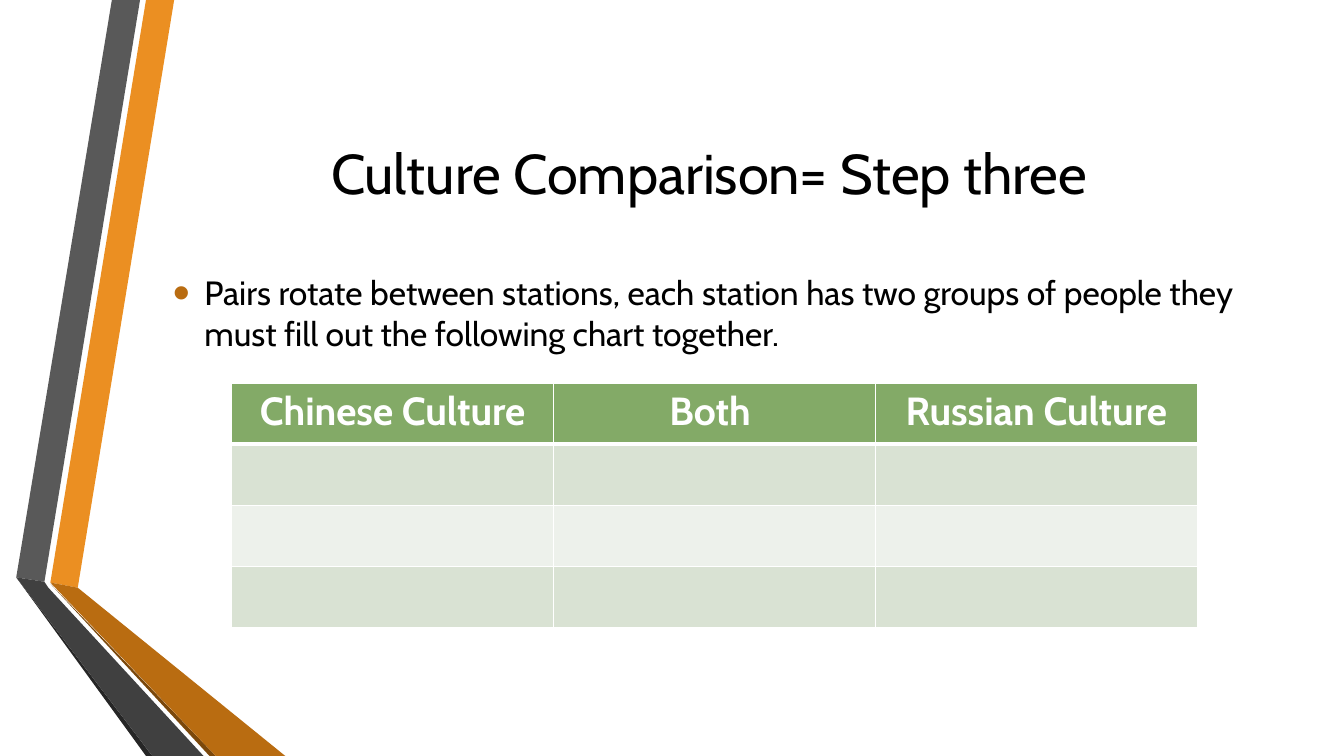
from dataclasses import dataclass

import pptx
import pptx.dml.color
import pptx.enum.text
import pptx.oxml
import pptx.oxml.ns
import pptx.util
from pptx.util import Cm

FONT = "Cabin"
COLOURS = {
    "orange": "EB8F22",
    "brown": "B96C11",
    "dark brown": "7B480B",
    "grey": "595959",
    "charcoal": "404040",
    "near black": "262626",
    "header": "83AA67",
    "band dark": "D9E2D3",
    "band light": "EDF1EB",
    "white": "FFFFFF",
    "black": "000000",
}


@dataclass
class Ribbon:
    colour: str
    points: list[tuple[float, float]]  # centimetres


@dataclass
class TextBlock:
    text: str
    left: float
    top: float
    width: float
    height: float
    size: float
    centred: bool = False
    bulleted: bool = False


RIBBONS = [
    Ribbon("orange", [(1.27, 14.68), (1.96, 14.81), (4.39, 0), (3.68, 0)]),
    Ribbon("grey", [(3.53, 0), (2.82, 0), (0.41, 14.55), (1.12, 14.66)]),
    Ribbon("near black", [(0.41, 14.55), (3.68, 19.05), (3.84, 19.05)]),
    Ribbon("dark brown", [(1.27, 14.71), (5.28, 19.05), (5.44, 19.05)]),
    Ribbon("brown", [(1.27, 14.68), (5.44, 19.05), (7.19, 19.05), (1.96, 14.81)]),
    Ribbon("charcoal", [(5.13, 19.05), (1.22, 14.81), (1.12, 14.66),
                        (0.41, 14.55), (3.84, 19.05)]),
]
TEXT_BLOCKS = [
    TextBlock("Culture Comparison= Step three ", 4.11, 1.9, 27.84, 4.88, 40, centred=True),
    TextBlock("Pairs rotate between stations, each station has two groups of people "
              "they must fill out the following chart together.",
              4.11, 6.1, 27.84, 3.56, 24, bulleted=True),
]
HEADERS = ["Chinese Culture", "Both ", "Russian Culture"]
ROW_FILLS = ["header", "band dark", "band light", "band dark"]
COLUMN_WIDTH, ROW_HEIGHT = 8.11, 1.54


def colour(name: str) -> pptx.dml.color.RGBColor:
    return pptx.dml.color.RGBColor.from_string(COLOURS[name])


def add_run(paragraph, text: str, size: float, colour_name: str, bold: bool = False) -> None:
    run = paragraph.add_run()
    run.text = text
    run.font.name = FONT
    run.font.size = pptx.util.Pt(size)
    run.font.bold = bold
    run.font.color.rgb = colour(colour_name)


def add_ribbon(slide, ribbon: Ribbon) -> None:
    points = [(Cm(x), Cm(y)) for x, y in ribbon.points]
    builder = slide.shapes.build_freeform(*points[0])
    builder.add_line_segments(points[1:], close=True)
    shape = builder.convert_to_shape()
    shape.shadow.inherit = False
    shape.fill.solid()
    shape.fill.fore_color.rgb = colour(ribbon.colour)
    shape.line.fill.background()


def add_bullet(paragraph) -> None:
    paragraph.space_before = pptx.util.Pt(4.8)
    paragraph.space_after = pptx.util.Pt(6)
    properties = paragraph._p.get_or_add_pPr()
    properties.set("marL", str(Cm(0.79)))
    properties.set("indent", str(Cm(-0.79)))
    namespace = pptx.oxml.ns.nsdecls("a")
    for xml in (
        f'<a:buClr {namespace}><a:srgbClr val="{COLOURS["brown"]}"/></a:buClr>',
        f'<a:buSzPct {namespace} val="145000"/>',
        f'<a:buFont {namespace} typeface="Arial"/>',
        f'<a:buChar {namespace} char="•"/>',
    ):
        properties.append(pptx.oxml.parse_xml(xml))


def add_text_block(slide, block: TextBlock) -> None:
    box = slide.shapes.add_textbox(
        Cm(block.left), Cm(block.top), Cm(block.width), Cm(block.height))
    frame = box.text_frame
    frame.word_wrap = True
    frame.vertical_anchor = pptx.enum.text.MSO_ANCHOR.MIDDLE
    paragraph = frame.paragraphs[0]
    if block.centred:
        paragraph.alignment = pptx.enum.text.PP_ALIGN.CENTER
    if block.bulleted:
        add_bullet(paragraph)
    add_run(paragraph, block.text, block.size, "black")


def add_borders(cell, top: float, bottom: float) -> None:
    properties = cell._tc.get_or_add_tcPr()
    for side, width in {"L": 1, "R": 1, "T": top, "B": bottom}.items():
        properties.append(pptx.oxml.parse_xml(
            f'<a:ln{side} {pptx.oxml.ns.nsdecls("a")} w="{pptx.util.Pt(width)}">'
            f'<a:solidFill><a:srgbClr val="{COLOURS["white"]}"/></a:solidFill>'
            f'</a:ln{side}>'))


def add_culture_table(slide) -> None:
    row_count, column_count = len(ROW_FILLS), len(HEADERS)
    table = slide.shapes.add_table(
        row_count, column_count, Cm(5.84), Cm(9.65),
        Cm(COLUMN_WIDTH * column_count), Cm(ROW_HEIGHT * row_count)).table
    for column in table.columns:
        column.width = Cm(COLUMN_WIDTH)
    for row_index, fill_name in enumerate(ROW_FILLS):
        table.rows[row_index].height = Cm(ROW_HEIGHT)
        for cell in table.rows[row_index].cells:
            add_borders(cell, top=3 if row_index == 1 else 1,
                        bottom=3 if row_index == 0 else 1)
            cell.fill.solid()
            cell.fill.fore_color.rgb = colour(fill_name)
    for cell, header in zip(table.rows[0].cells, HEADERS):
        paragraph = cell.text_frame.paragraphs[0]
        paragraph.alignment = pptx.enum.text.PP_ALIGN.CENTER
        add_run(paragraph, header, 28, "white", bold=True)


def main() -> None:
    presentation = pptx.Presentation()
    presentation.slide_width = Cm(33.87)
    presentation.slide_height = Cm(19.05)
    slide = presentation.slides.add_slide(presentation.slide_layouts[6])

    # Folded ribbons on the left
    for ribbon in RIBBONS:
        add_ribbon(slide, ribbon)

    # Title and instruction
    for block in TEXT_BLOCKS:
        add_text_block(slide, block)

    # Comparison chart to fill out
    add_culture_table(slide)

    presentation.save("out.pptx")


if __name__ == "__main__":
    main()
